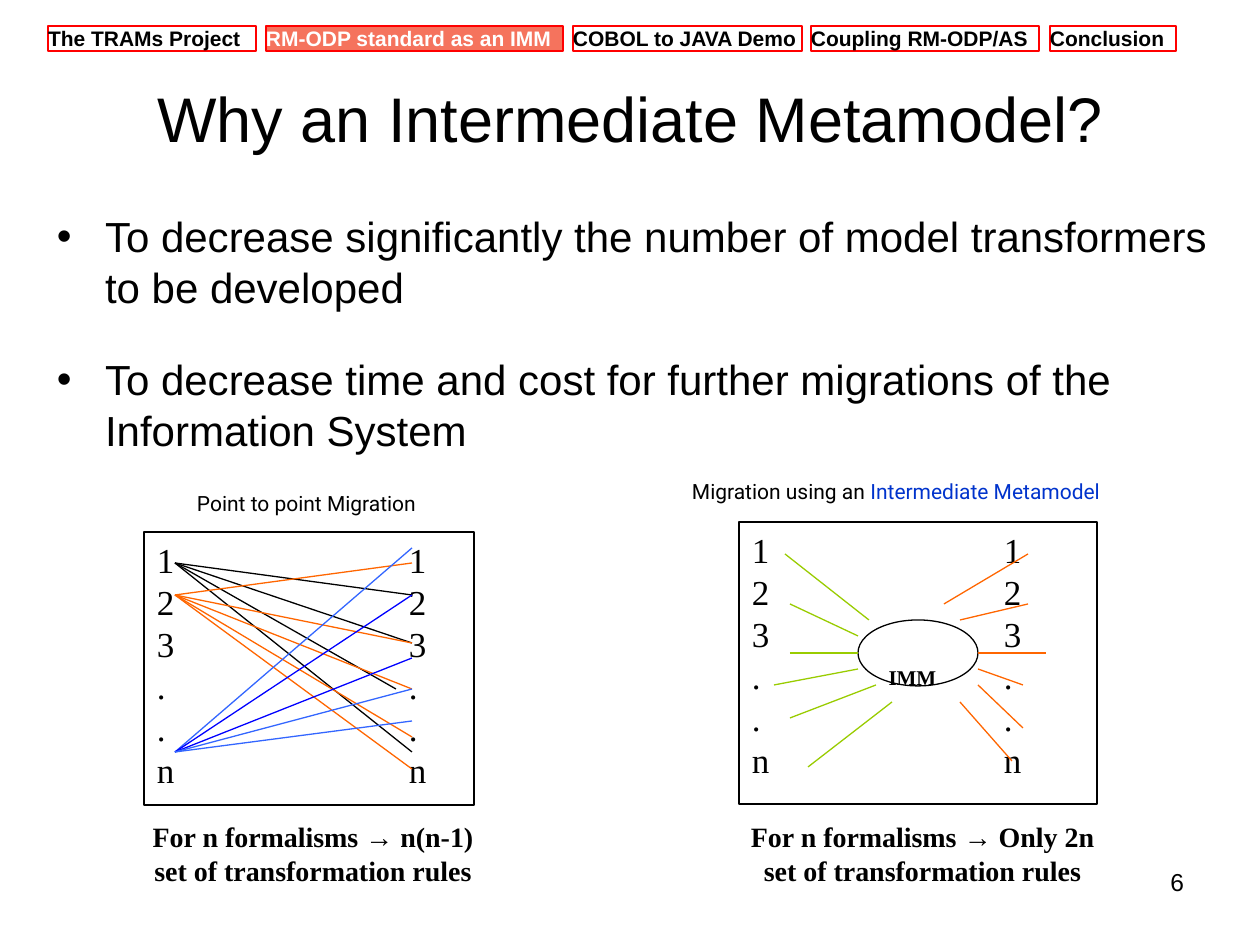
"""Build the slide that explains why an intermediate metamodel is useful."""
from lxml import etree
from pptx import Presentation, util as u
from pptx.dml.color import RGBColor
from pptx.enum import shapes, text
from pptx.oxml import ns

C = {"black": "000000", "white": "FFFFFF", "red": "FF0000", "coral": "F5735D",
     "orange": "FF6600", "green": "99CC00", "blue": "0000FF", "sky": "3366FF",
     "link": "0033CC"}
SANS, SERIF, LABEL = "Arial", "Times New Roman", "Roboto"
ALIGN = text.PP_ALIGN
TOP, MIDDLE = text.MSO_ANCHOR.TOP, text.MSO_ANCHOR.MIDDLE
INSET = (13, 6, 13, 6)
FLUSH = (0, 0, 0, 0)

TITLE = "Why an Intermediate Metamodel?"
BULLETS = [
    "To decrease significantly the number of model transformers to be developed",
    "To decrease time and cost for further migrations of the Information System",
]
NAV = [("The TRAMs Project", 48, 208), ("RM-ODP standard as an IMM", 266, 297),
       ("COBOL to JAVA Demo", 573, 229), ("Coupling RM-ODP/AS", 811, 228),
       ("Conclusion", 1050, 126)]
CURRENT = "RM-ODP standard as an IMM"
FORMALISMS = ["1", "2", "3", ".", ".", "n"]
TAB_STOPS = (126, 252)
PANELS = [(144, 532, 330, 273), (739, 522, 358, 282)]
FAN_X = 175
FANS = [
    (563, [("black", 412, 595), ("black", 412, 643), ("black", 396, 689),
           ("black", 412, 752)]),
    (595, [("orange", 412, y) for y in (563, 643, 769, 689, 737)]),
    (752, [("sky", 412, 548), ("blue", 412, 595), ("blue", 412, 658),
           ("sky", 412, 689), ("sky", 412, 721)]),
]
SPOKES = {
    "green": [(785, 554, 869, 620), (790, 604, 858, 636), (790, 653, 858, 653),
              (774, 685, 858, 669), (790, 718, 876, 685), (808, 767, 892, 702)],
    "orange": [(944, 604, 1028, 554), (960, 620, 1028, 604), (978, 653, 1046, 653),
               (978, 669, 1023, 685), (978, 685, 1023, 728), (960, 702, 1012, 761)],
}
CAPTIONS = [
    ((184, 485, 284, 38), [("Point to point Migration", "black")]),
    ((679, 473, 456, 38), [("Migration using an ", "black"),
                           ("Intermediate Metamodel", "link")]),
]
SUMMARIES = [
    ((134, 820, 358, 84), ["For n formalisms ", "→", " n(n-1)"],
     "set of transformation rules"),
    ((719, 820, 407, 84), ["For n formalisms ", "→", " Only 2n"],
     "set of transformation rules"),
]


def px(n):
    return u.Emu(round(n * 914400 / 126))


def rgb(name):
    return RGBColor.from_string(C[name])


def style(font, name, size, color="black", bold=False):
    font.name, font.size, font.bold = name, u.Pt(size), bold
    font.color.rgb = rgb(color)


def place(sp, box):
    sp.left, sp.top, sp.width, sp.height = map(px, box)


def frame(sp, insets=INSET, anchor=TOP):
    tf = sp.text_frame
    tf.word_wrap, tf.auto_size = True, text.MSO_AUTO_SIZE.NONE
    tf.vertical_anchor = anchor
    tf.margin_left, tf.margin_top, tf.margin_right, tf.margin_bottom = map(px, insets)
    return tf


def add_tabs(p, stops):
    tabs = etree.SubElement(p._p.get_or_add_pPr(), ns.qn("a:tabLst"))
    for stop in stops:
        etree.SubElement(tabs, ns.qn("a:tab"), pos=str(px(stop)), algn="l")


def write(tf, lines, name, size, color="black", bold=False, align=ALIGN.LEFT, stops=()):
    for i, line in enumerate(lines):
        p = tf.paragraphs[0] if i == 0 else tf.add_paragraph()
        p.text, p.alignment = line, align
        if stops:
            add_tabs(p, stops)
        style(p.font, name, size, color, bold)


def add_shape(s, kind, box, fill="white", line="black"):
    sp = s.shapes.add_shape(kind, *map(px, box))
    sp.shadow.inherit = False
    if fill:
        sp.fill.solid()
        sp.fill.fore_color.rgb = rgb(fill)
    else:
        sp.fill.background()
    if line:
        sp.line.color.rgb, sp.line.width = rgb(line), u.Pt(0.75)
    else:
        sp.line.fill.background()
    return sp


def add_line(s, color, *ends):
    cn = s.shapes.add_connector(shapes.MSO_CONNECTOR.STRAIGHT, *map(px, ends))
    cn.line.color.rgb, cn.line.width = rgb(color), u.Pt(0.75)
    etree.SubElement(cn._element.spPr, ns.qn("a:effectLst"))


def add_bullets(sp):
    place(sp, (54, 204, 1191, 624))
    tf = frame(sp, (3, 6, 3, 6))
    write(tf, BULLETS, SANS, 24)
    for i, p in enumerate(tf.paragraphs):
        p.line_spacing, p.space_before = u.Pt(29), u.Pt(24 if i else 0)
        pr = p._p.get_or_add_pPr()
        pr.set("marL", str(px(48)))
        pr.set("indent", str(-px(48)))


def build():
    prs = Presentation()
    prs.slide_width, prs.slide_height = px(1260), px(945)
    s = prs.slides.add_slide(prs.slide_layouts[1])
    rect, oval = shapes.MSO_SHAPE.RECTANGLE, shapes.MSO_SHAPE.OVAL

    place(s.shapes.title, (63, 38, 1134, 158))
    write(frame(s.shapes.title, anchor=MIDDLE), [TITLE], SANS, 36, align=ALIGN.CENTER)
    add_bullets(s.placeholders[1])

    rows = [f"{name}\t\t{name}" for name in FORMALISMS]
    for box in PANELS:
        write(frame(add_shape(s, rect, box)), rows, SERIF, 20, stops=TAB_STOPS)
    hub = add_shape(s, oval, (858, 620, 120, 66))
    write(frame(hub, (13, 35, 0, 0)), ["IMM"], SERIF, 12, bold=True)
    for color, spokes in SPOKES.items():
        for ends in spokes:
            add_line(s, color, *ends)
    for y, targets in FANS:
        for color, end_x, end_y in targets:
            add_line(s, color, FAN_X, y, end_x, end_y)

    for box, parts in CAPTIONS:
        p = frame(s.shapes.add_textbox(*map(px, box))).paragraphs[0]
        for words, color in parts:
            r = p.add_run()
            r.text = words
            style(r.font, LABEL, 12, color)

    for box, parts, rest in SUMMARIES:
        tf = frame(add_shape(s, rect, box, line=None), FLUSH)
        write(tf, ["", rest], SERIF, 16, bold=True, align=ALIGN.CENTER)
        for words in parts:
            r = tf.paragraphs[0].add_run()
            r.text = words
            style(r.font, SANS if words == "→" else SERIF, 16, bold=True)

    for words, left, width in NAV:
        active = words == CURRENT
        tab = add_shape(s, rect, (left, 26, width, 25), "coral" if active else None, "red")
        write(frame(tab, FLUSH, MIDDLE), [words], SANS, 12,
              "white" if active else "black", True)

    number = s.shapes.add_textbox(*map(px, (903, 861, 294, 66)))
    write(frame(number), ["6"], SANS, 14, align=ALIGN.RIGHT)
    prs.save("out.pptx")


if __name__ == "__main__":
    build()
